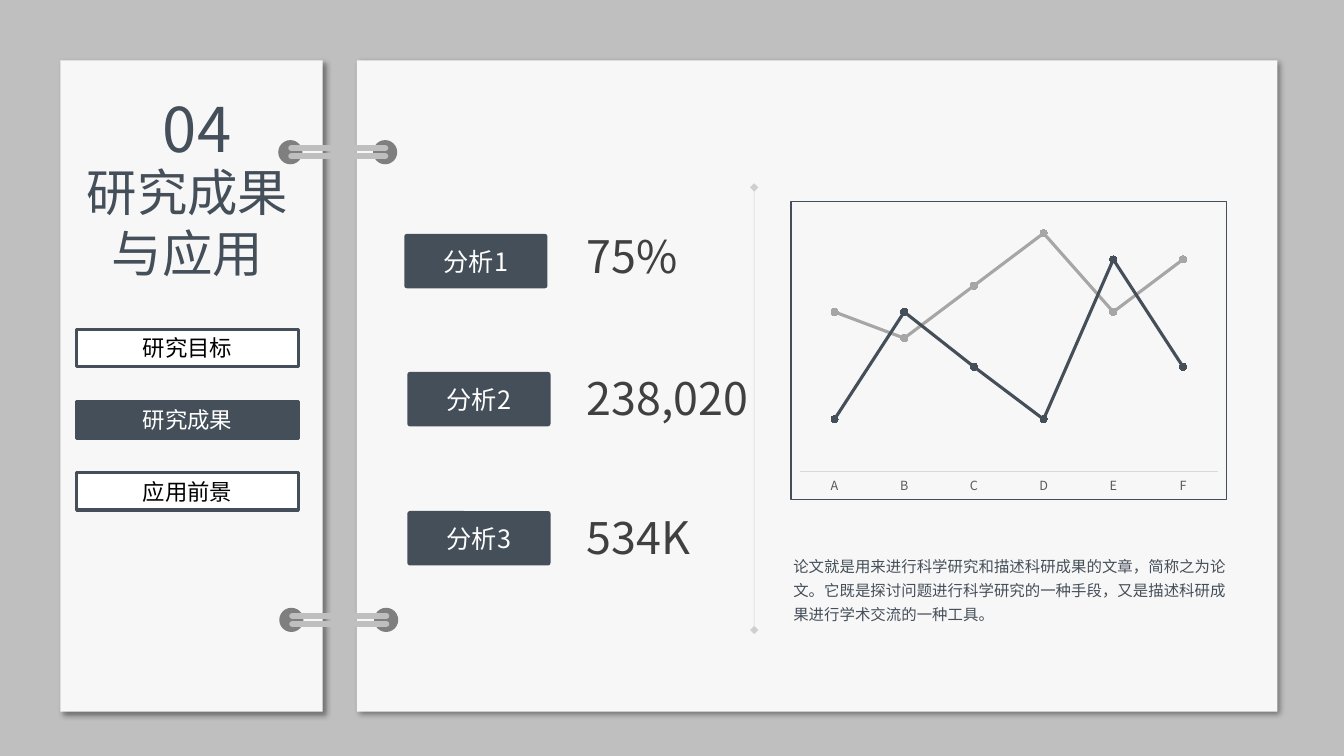
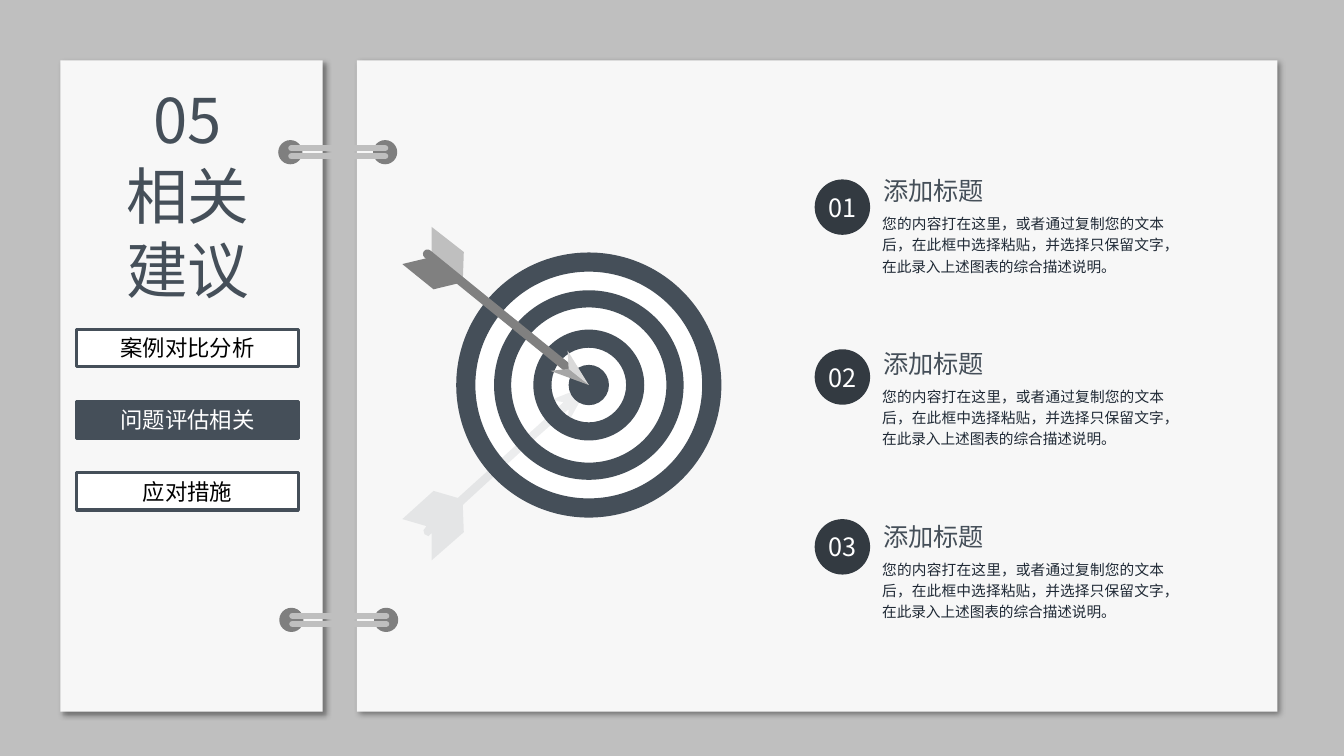
"""Build two binder-style thesis slides: research results and recommendations."""
from dataclasses import dataclass
from math import atan2, degrees, hypot

from lxml import etree
from pptx import Presentation
from pptx import util as u
from pptx.chart.data import CategoryChartData
from pptx.dml.color import RGBColor
from pptx.enum import chart as charts, shapes, text
from pptx.oxml.ns import qn

Point = tuple[float, float]
Box = tuple[float, float, float, float]
PRESET = shapes.MSO_SHAPE
ALIGN = text.PP_ALIGN
ANCHOR = text.MSO_ANCHOR


@dataclass(frozen=True)
class Theme:
    font: str = "Noto Sans CJK SC"
    desk: str = "BFBFBF"
    paper: str = "F7F7F7"
    hole: str = "7F7F7F"
    slate: str = "454F59"
    disc: str = "333A41"
    ink: str = "202A36"
    figure: str = "404040"
    black: str = "000000"
    white: str = "FFFFFF"
    shaft: str = "808080"
    series: str = "A6A6A6"
    pale: str = "D9D9D9"
    axis_text: str = "595959"
    grid: str = "F6F6F6"
    chapter: float = 44
    long_title: float = 36
    figure_size: float = 32
    label: float = 18
    tab: float = 16
    note: float = 11
    body: float = 10.5
    axis_size: float = 9


THEME = Theme()


@dataclass(frozen=True)
class Chapter:
    number: str
    number_at: Point
    title: str
    title_box: Box
    title_size: float
    tabs: tuple[str, str, str]


@dataclass(frozen=True)
class Finding:
    label: str
    label_at: Point
    value: str
    value_top: float


@dataclass(frozen=True)
class Ring:
    diameter: float
    band: float


RESULTS = Chapter("04", (1.47, 0.85), "研究成果与应用", (0.68, 1.55, 2.36, 1.31),
                  THEME.long_title, ("研究目标", "研究成果", "应用前景"))
ADVICE = Chapter("05", (1.38, 0.76), "相关建议", (0.92, 1.52, 1.89, 1.58),
                 THEME.chapter, ("案例对比分析", "问题评估相关", "应对措施"))
FINDINGS = (
    Finding("分析1", (4.01, 2.32), "75%", 2.22),
    Finding("分析2", (4.04, 3.69), "238,020", 3.63),
    Finding("分析3", (4.04, 5.07), "534K", 5.01),
)
TREND = (
    ("Series 1", (67, 56, 78, 100, 67, 89), THEME.series),
    ("Series 2", (22, 67, 44, 22, 89, 44), THEME.slate),
)
THESIS_NOTE = ("论文就是用来进行科学研究和描述科研成果的文章，简称之为论文。它既是探讨问题"
               "进行科学研究的一种手段，又是描述科研成果进行学术交流的一种工具。")
ADVICE_NOTE = ("您的内容打在这里，或者通过复制您的文本后，在此框中选择粘贴，"
               "并选择只保留文字，在此录入上述图表的综合描述说明。")
BULLSEYE = (5.84, 3.82)
RINGS = (Ring(2.63, 0.19), Ring(1.88, 0.17), Ring(1.1, 0.18))
FLETCHING = (
    (((4.59, 2.8), (4.3, 2.87), (3.99, 2.62), (4.28, 2.55)), THEME.shaft),
    (((4.59, 2.8), (4.6, 2.5), (4.28, 2.25), (4.28, 2.55)), THEME.desk),
)
ARROWHEAD = (
    (((5.46, 3.68), BULLSEYE, (5.64, 3.66)), THEME.series),
    (((5.64, 3.66), BULLSEYE, (5.63, 3.48)), THEME.pale),
)
ARROW_SHADE = (
    BULLSEYE, (5.63, 4.2), (5.64, 4.06), (5.21, 4.44), (4.59, 5.01), (4.6, 5.28),
    (4.28, 5.56), (4.28, 5.29), (4.25, 5.32), (4.21, 5.3), (4.2, 5.26), (4.23, 5.22),
    (3.99, 5.15), (4.3, 4.87), (4.54, 4.94), (5.59, 3.99), (5.46, 3.97),
)


def rgb(code: str) -> RGBColor:
    """Turn a hex code into a colour."""
    return RGBColor.from_string(code)


def inches(box: tuple[float, ...]) -> list[u.Length]:
    """Convert every number of a box to a length."""
    return [u.Inches(value) for value in box]


def set_alpha(drawn, percent: int) -> None:
    """Make the explicit colours of a shape or line translucent."""
    for color in drawn.element.spPr.xpath(".//a:srgbClr"):
        etree.SubElement(color, qn("a:alpha"), val=str(percent * 1000))


def write(frame, content: str, *, size: float, color: str, align=ALIGN.LEFT,
          anchor=ANCHOR.TOP, spacing: float = 1.0, insets: Point = (0.1, 0.05)) -> None:
    """Put one formatted paragraph in a text frame."""
    frame.word_wrap = True
    frame.auto_size = text.MSO_AUTO_SIZE.NONE
    frame.vertical_anchor = anchor
    frame.margin_left = frame.margin_right = u.Inches(insets[0])
    frame.margin_top = frame.margin_bottom = u.Inches(insets[1])
    paragraph = frame.paragraphs[0]
    paragraph.alignment = align
    paragraph.line_spacing = spacing
    run = paragraph.add_run()
    run.text = content
    run.font.size = u.Pt(size)
    run.font.name = THEME.font
    run.font.color.rgb = rgb(color)
    etree.SubElement(run._r.get_or_add_rPr(), qn("a:ea"), typeface=THEME.font)


def add_text(slide, box: Box, content: str, **style) -> None:
    """Add a text box."""
    write(slide.shapes.add_textbox(*inches(box)).text_frame, content, **style)


def style_shape(shape, fill: str, border: str | None = None):
    """Give a shape a flat fill and an optional border."""
    shape.shadow.inherit = False
    shape.fill.solid()
    shape.fill.fore_color.rgb = rgb(fill)
    if border:
        shape.line.color.rgb = rgb(border)
        shape.line.width = u.Pt(2.25)
    else:
        shape.line.fill.background()
    return shape


def add_preset(slide, preset, box: Box, fill: str, border: str | None = None):
    """Add a flat preset shape."""
    return style_shape(slide.shapes.add_shape(preset, *inches(box)), fill, border)


def add_polygon(slide, points: tuple[Point, ...], fill: str):
    """Add a closed, filled outline."""
    start, *rest = [tuple(inches(point)) for point in points]
    builder = slide.shapes.build_freeform(*start)
    builder.add_line_segments(rest, close=True)
    return style_shape(builder.convert_to_shape(), fill)


def add_line(slide, start: Point, end: Point, color: str, width: float):
    """Add a straight line without a shadow."""
    line = slide.shapes.add_connector(shapes.MSO_CONNECTOR.STRAIGHT, *inches(start + end))
    line.line.color.rgb = rgb(color)
    line.line.width = u.Pt(width)
    etree.SubElement(line.element.spPr, qn("a:effectLst"))
    return line


def draw_binder(slide) -> None:
    """Draw the two sheets and the rings that join them."""
    for left, width in ((0.6, 2.6), (3.54, 9.13)):
        sheet = add_preset(slide, PRESET.RECTANGLE, (left, 0.6, width, 6.46), THEME.paper)
        effects = sheet.element.spPr.find(qn("a:effectLst"))
        shadow = etree.SubElement(effects, qn("a:outerShdw"), blurRad=str(u.Pt(4)),
                                  dist=str(u.Pt(3)), dir="2700000", algn="tl", rotWithShape="0")
        color = etree.SubElement(shadow, qn("a:srgbClr"), val=THEME.black)
        etree.SubElement(color, qn("a:alpha"), val="40000")
    for left, top in ((2.76, 1.39), (2.77, 6.03)):
        for offset in (0, 0.94):
            add_preset(slide, PRESET.OVAL, (left + offset, top, 0.24, 0.24), THEME.hole)
        for drop in (0.08, 0.16):
            rod = add_line(slide, (left + 0.13, top + drop), (left + 1.06, top + drop),
                           THEME.desk, 4.5)
            rod.element.spPr.find(qn("a:ln")).set("cap", "rnd")


def prepare_layout(layout, slide) -> None:
    """Give the layout the desk colour and move the binder into it."""
    layout.background.fill.solid()
    layout.background.fill.fore_color.rgb = rgb(THEME.desk)
    draw_binder(slide)
    for part in list(slide.shapes):
        if not part.is_placeholder:
            layout.shapes.element.append(part.element)


def draw_sidebar(slide, chapter: Chapter) -> None:
    """Fill the left sheet with the chapter title and its three tabs."""
    title = slide.shapes.title
    title.left, title.top, title.width, title.height = inches(chapter.title_box)
    write(title.text_frame, chapter.title, size=chapter.title_size, color=THEME.slate,
          align=ALIGN.CENTER)
    add_text(slide, (*chapter.number_at, 0.97, 0.84), chapter.number, size=THEME.chapter,
             color=THEME.slate, align=ALIGN.CENTER)
    for index, name in enumerate(chapter.tabs):
        active = index == 1
        tab = add_preset(slide, PRESET.RECTANGLE, (0.76, 3.27 + 0.71 * index, 2.2, 0.37),
                         THEME.slate if active else THEME.white, THEME.slate)
        write(tab.text_frame, name, size=THEME.tab, align=ALIGN.CENTER,
              color=THEME.white if active else THEME.black)


def draw_trend(slide) -> None:
    """Add the line chart of both series."""
    data = CategoryChartData()
    data.categories = list("ABCDEF")
    for name, values, _ in TREND:
        data.add_series(name, values)
    trend = slide.shapes.add_chart(charts.XL_CHART_TYPE.LINE_MARKERS,
                                   *inches((7.84, 1.99, 4.33, 2.97)), data).chart
    trend.has_legend = trend.has_title = False
    trend.font.name, trend.font.size = THEME.font, u.Pt(THEME.axis_size)
    trend.font.color.rgb = rgb(THEME.axis_text)
    trend.plots[0].vary_by_categories = False
    for series, (_, _, color) in zip(trend.plots[0].series, TREND):
        series.smooth = False
        series.format.line.color.rgb = rgb(color)
        series.format.line.width = u.Pt(2.25)
        series.marker.style = charts.XL_MARKER_STYLE.CIRCLE
        series.marker.size = 5
        series.marker.format.fill.solid()
        series.marker.format.fill.fore_color.rgb = rgb(color)
        series.marker.format.line.fill.background()
    scale = trend.value_axis
    scale.minimum_scale, scale.maximum_scale, scale.major_unit = 0, 111, 22
    scale.major_gridlines.format.line.color.rgb = rgb(THEME.grid)
    scale.visible = False
    trend.category_axis.major_tick_mark = charts.XL_TICK_MARK.NONE
    trend.category_axis.format.line.color.rgb = rgb(THEME.pale)
    trend.category_axis.format.line.width = u.Pt(0.75)
    border = etree.Element(qn("c:spPr"))
    etree.SubElement(border, qn("a:noFill"))
    outline = etree.SubElement(border, qn("a:ln"), w=str(u.Pt(0.75)))
    fill = etree.SubElement(outline, qn("a:solidFill"))
    etree.SubElement(fill, qn("a:srgbClr"), val=THEME.slate)
    trend.element.find(qn("c:chart")).addnext(border)


def draw_results(slide) -> None:
    """Show the three findings beside the trend chart."""
    draw_sidebar(slide, RESULTS)
    draw_trend(slide)
    add_text(slide, (7.77, 5.42, 4.56, 0.82), THESIS_NOTE, size=THEME.note,
             color=THEME.slate, spacing=1.3)
    for finding in FINDINGS:
        add_text(slide, (5.72, finding.value_top, 2.01, 0.64), finding.value,
                 size=THEME.figure_size, color=THEME.figure)
        badge = add_preset(slide, PRESET.ROUNDED_RECTANGLE, (*finding.label_at, 1.42, 0.54),
                           THEME.slate)
        badge.adjustments[0] = 0.05
        write(badge.text_frame, finding.label, size=THEME.label, color=THEME.white,
              align=ALIGN.CENTER, anchor=ANCHOR.MIDDLE)
    divider = add_line(slide, (7.48, 1.86), (7.48, 6.25), THEME.shaft, 0.25)
    set_alpha(divider, 33)
    for end in ("a:headEnd", "a:tailEnd"):
        etree.SubElement(divider.element.spPr.find(qn("a:ln")), qn(end), type="diamond")


def centered(diameter: float) -> Box:
    """Return the square box of a circle around the bullseye."""
    return BULLSEYE[0] - diameter / 2, BULLSEYE[1] - diameter / 2, diameter, diameter


def draw_target(slide) -> None:
    """Draw the target, the arrow in it and the arrow's shade."""
    for diameter, color in ((2.61, THEME.white), (0.4, THEME.slate)):
        add_preset(slide, PRESET.OVAL, centered(diameter), color)
    for ring in RINGS:
        donut = add_preset(slide, PRESET.DONUT, centered(ring.diameter), THEME.slate)
        donut.adjustments[0] = ring.band / ring.diameter
    for points, color in FLETCHING:
        add_polygon(slide, points, color)
    (x1, y1), (x2, y2), thick = (4.24, 2.52), (5.73, 3.73), 0.09
    length = hypot(x2 - x1, y2 - y1) + thick
    shaft = add_preset(slide, PRESET.ROUNDED_RECTANGLE, (
        (x1 + x2 - length) / 2, (y1 + y2 - thick) / 2, length, thick), THEME.shaft)
    shaft.adjustments[0] = 0.5
    shaft.rotation = degrees(atan2(y2 - y1, x2 - x1))
    for points, color in ARROWHEAD:
        add_polygon(slide, points, color)
    set_alpha(add_polygon(slide, ARROW_SHADE, THEME.slate), 10)


def draw_advice(slide) -> None:
    """Show the target beside three numbered recommendations."""
    draw_sidebar(slide, ADVICE)
    draw_target(slide)
    for index in range(3):
        disc = add_preset(slide, PRESET.OVAL, (8.08, 1.78 + 1.685 * index, 0.55, 0.55),
                          THEME.disc)
        write(disc.text_frame, f"{index + 1:02}", size=THEME.label, color=THEME.white,
              align=ALIGN.CENTER, anchor=ANCHOR.MIDDLE, insets=(0, 0))
        top = 1.69 + 1.715 * index
        add_text(slide, (8.66, top + 0.37, 2.98, 0.73), ADVICE_NOTE, size=THEME.body,
                 color=THEME.ink, align=ALIGN.JUSTIFY, spacing=1.2, insets=(0.09, 0.04))
        add_text(slide, (8.66, top, 1.4, 0.4), "添加标题", size=THEME.label, color=THEME.slate)


def main() -> None:
    """Build and save the presentation."""
    deck = Presentation()
    deck.slide_width, deck.slide_height = u.Inches(13.33), u.Inches(7.5)
    layout = deck.slide_layouts[5]
    results, advice = (deck.slides.add_slide(layout) for _ in range(2))
    prepare_layout(layout, results)
    draw_results(results)
    draw_advice(advice)
    deck.save("out.pptx")


if __name__ == "__main__":
    main()
